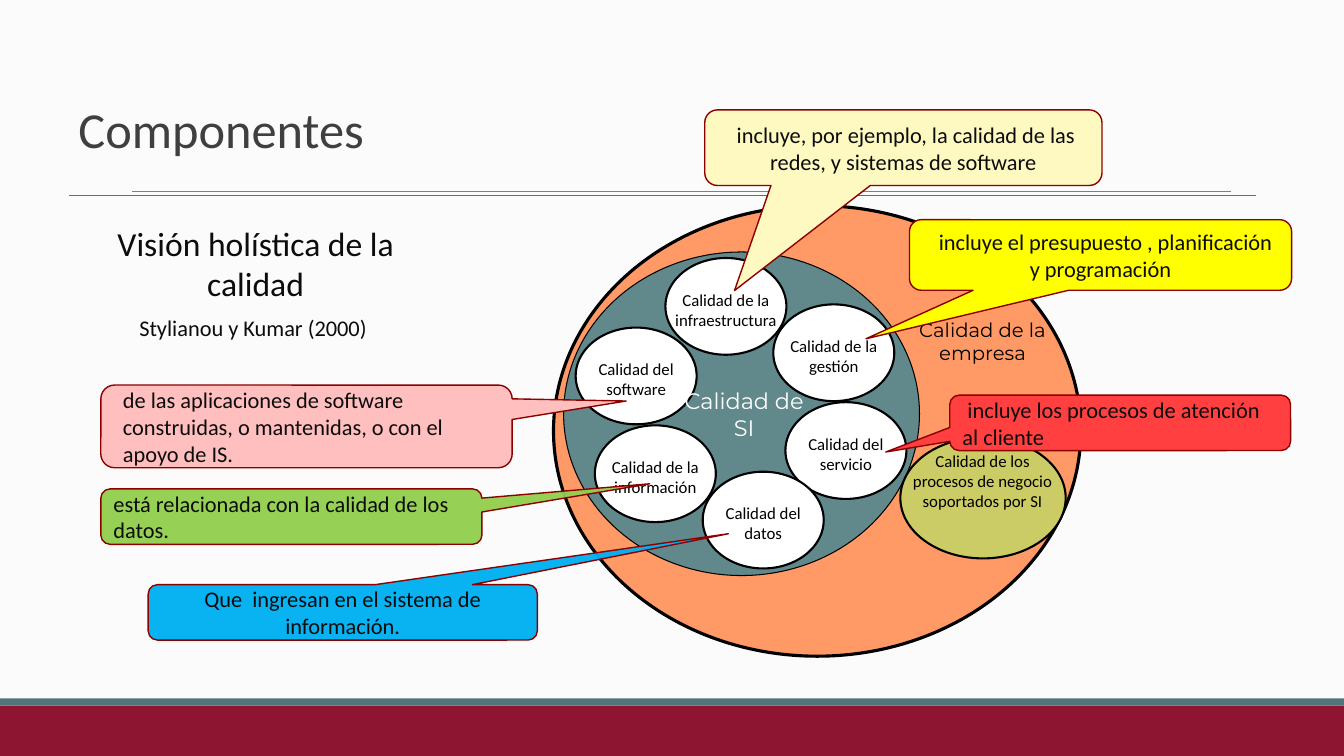
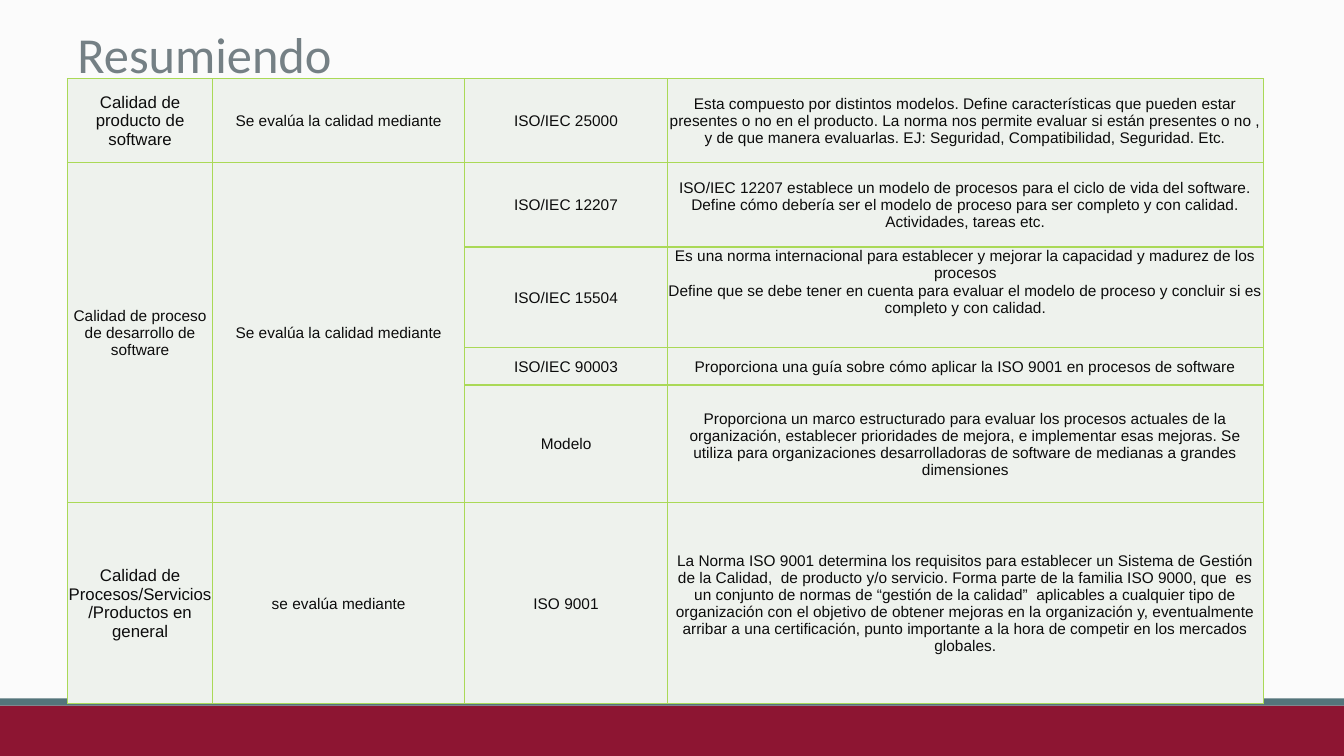
from dataclasses import dataclass
from typing import NamedTuple

from lxml.etree import SubElement
from pptx import Presentation
from pptx.dml.color import RGBColor
from pptx.enum.shapes import MSO_CONNECTOR as Connector, MSO_SHAPE as Preset
from pptx.enum.text import MSO_ANCHOR as Anchor, PP_ALIGN as Align
from pptx.oxml.ns import qn
from pptx.util import Inches, Pt

PAPER = RGBColor(0xFB, 0xFB, 0xFB)
CRIMSON = RGBColor(0x8D, 0x15, 0x32)
SLATE = RGBColor(0x54, 0x74, 0x7B)
GRAY = RGBColor(0x7F, 0x7F, 0x7F)
TITLE_DARK = RGBColor(0x3F, 0x3F, 0x3F)
TITLE_SOFT = RGBColor(0x75, 0x80, 0x85)
INK = RGBColor(0x0C, 0x0C, 0x0C)
BLACK = RGBColor(0, 0, 0)
WHITE = RGBColor(0xFF, 0xFF, 0xFF)
ORANGE = RGBColor(0xFF, 0x99, 0x66)
TEAL = RGBColor(0x61, 0x88, 0x8A)
OLIVE = RGBColor(0xCC, 0xCC, 0x66)
CREAM = RGBColor(0xFE, 0xF8, 0xC1)
PINK = RGBColor(0xFF, 0xBF, 0xBF)
BLUE = RGBColor(0x00, 0xB0, 0xF0)
GREEN = RGBColor(0x92, 0xD0, 0x50)
YELLOW = RGBColor(0xFF, 0xFF, 0x00)
RED = RGBColor(0xFF, 0x3F, 0x40)
MAROON = RGBColor(0x8C, 0x00, 0x00)
CELL = RGBColor(0xEE, 0xF2, 0xED)
CELL_BORDER = RGBColor(0xAA, 0xD9, 0x57)

BUBBLE_SIZE = (1.2, 0.96)
LABEL_DROP, LABEL_HEIGHT = 0.29, 0.44


class Box(NamedTuple):
    left: float
    top: float
    width: float
    height: float

    def lengths(self) -> list:
        return [Inches(side) for side in self]


class Style(NamedTuple):
    size: float
    color: RGBColor = INK
    font: str = "Calibri"
    align: Align = Align.CENTER


class Margins(NamedTuple):
    left: float = 0.1
    top: float = 0.05
    right: float = 0.1
    bottom: float = 0.05


TIGHT = Margins(0.05, 0.02, 0.05, 0.02)
CELL_MARGINS = Margins(0.01, 0.01, 0.01, 0)
LABEL = Style(12, BLACK)


@dataclass(frozen=True)
class Disc:
    box: Box
    color: RGBColor
    line_width: float


@dataclass(frozen=True)
class Bubble:
    left: float
    top: float
    label: str


@dataclass(frozen=True)
class Callout:
    box: Box
    tip: tuple[float, float]
    color: RGBColor
    text: str
    align: Align = Align.CENTER
    margins: Margins = Margins()
    opacity: int = 100


@dataclass(frozen=True)
class Entry:
    row: int
    column: int
    text: str
    size: float = 11
    rows: int = 1
    anchor: Anchor = Anchor.MIDDLE


DISCS = [
    Disc(Box(5.49, 2.04, 5.23, 4.47), ORANGE, 2.25),
    Disc(Box(5.59, 2.5, 3.53, 3.21), TEAL, 0.75),
    Disc(Box(8.93, 4.34, 1.64, 1.2), OLIVE, 1.5),
]

BUBBLES = [
    Bubble(6.6, 2.56, "Calidad de la infraestructura"),
    Bubble(7.67, 3.02, "Calidad de la gestión"),
    Bubble(7.79, 3.99, "Calidad del servicio"),
    Bubble(5.71, 3.25, "Calidad del software"),
    Bubble(5.9, 4.22, "Calidad de la información"),
    Bubble(6.97, 4.68, "Calidad del datos"),
]

CALLOUTS = [
    Callout(Box(6.99, 1.09, 3.94, 0.75), (-0.425, 1.89), CREAM,
            " incluye, por ejemplo, la calidad de las redes, y sistemas de software"),
    Callout(Box(1, 3.82, 4.08, 0.82), (0.777, -0.307), PINK,
            "de las aplicaciones de software\n"
            "construidas, o mantenidas, o con el apoyo de IS.",
            Align.LEFT, Margins(left=0.18)),
    Callout(Box(1.47, 5.8, 3.86, 0.55), (0.991, -1.419), BLUE,
            "Que  ingresan en el sistema de información.", opacity=96),
    Callout(Box(1, 4.85, 3.78, 0.55), (0.94, -0.592), GREEN,
            "está relacionada con la calidad de los datos.", Align.LEFT, opacity=96),
    Callout(Box(9.02, 2.18, 3.79, 0.7), (-0.614, 1.188), YELLOW,
            "  incluye el presupuesto , planificación y programación"),
    Callout(Box(9.42, 3.92, 3.38, 0.55), (-0.688, 0.526), RED,
            " incluye los procesos de atención al cliente", Align.LEFT),
]

COLUMNS = [1.44, 2.5, 2.01, 5.91]
ROWS = [0.83, 0.84, 1, 0.37, 1.17, 1.99]
ENTRIES = [
    Entry(0, 0, "Calidad de producto de software", 12),
    Entry(0, 1, "Se evalúa la calidad mediante"),
    Entry(0, 2, "ISO/IEC 25000"),
    Entry(0, 3, "Esta compuesto por distintos modelos. Define características que pueden "
                "estar presentes o no en el producto. La norma nos permite evaluar si están "
                "presentes o no , y de que manera evaluarlas. EJ: Seguridad, "
                "Compatibilidad, Seguridad. Etc."),
    Entry(1, 0, "Calidad de proceso de desarrollo de software", rows=4),
    Entry(1, 1, "Se evalúa la calidad mediante", rows=4),
    Entry(1, 2, "ISO/IEC 12207"),
    Entry(1, 3, "ISO/IEC 12207 establece un modelo de procesos para el ciclo de vida del "
                "software. Define cómo debería ser el modelo de proceso para ser completo "
                "y con calidad. Actividades, tareas etc."),
    Entry(2, 2, "ISO/IEC 15504"),
    Entry(2, 3, "Es una norma internacional para establecer y mejorar la capacidad y "
                "madurez de los procesos\nDefine que se debe tener en cuenta para evaluar "
                "el modelo de proceso y concluir si es completo y con calidad.",
          anchor=Anchor.TOP),
    Entry(3, 2, "ISO/IEC 90003"),
    Entry(3, 3, "Proporciona una guía sobre cómo aplicar la ISO 9001 en procesos de software"),
    Entry(4, 2, "Modelo"),
    Entry(4, 3, "Proporciona un marco estructurado para evaluar los procesos actuales de la "
                "organización, establecer prioridades de mejora, e implementar esas "
                "mejoras. Se utiliza para organizaciones desarrolladoras de software de "
                "medianas a grandes dimensiones"),
    Entry(5, 0, "Calidad de Procesos/Servicios/Productos en general", 12),
    Entry(5, 1, "se evalúa mediante"),
    Entry(5, 2, "ISO 9001"),
    Entry(5, 3, "La Norma ISO 9001 determina los requisitos para establecer un Sistema de "
                "Gestión de la Calidad,  de producto y/o servicio. Forma parte de la "
                "familia ISO 9000, que  es un conjunto de normas de “gestión de la "
                "calidad”  aplicables a cualquier tipo de organización con el objetivo de "
                "obtener mejoras en la organización y, eventualmente arribar a una "
                "certificación, punto importante a la hora de competir en los mercados "
                "globales."),
]


def set_margins(holder, margins: Margins) -> None:
    for side, length in margins._asdict().items():
        setattr(holder, f"margin_{side}", Inches(length))


def write_paragraph(paragraph, text: str, style: Style) -> None:
    paragraph.alignment = style.align
    run = paragraph.add_run()
    run.text = text
    run.font.size = Pt(style.size)
    run.font.name = style.font
    run.font.color.rgb = style.color


def write(frame, text: str, style: Style) -> None:
    for index, line in enumerate(text.split("\n")):
        paragraph = frame.add_paragraph() if index else frame.paragraphs[0]
        write_paragraph(paragraph, line, style)


def add_text(slide, box: Box, text: str, style: Style,
             margins: Margins = Margins(), anchor: Anchor = Anchor.TOP):
    frame = slide.shapes.add_textbox(*box.lengths()).text_frame
    frame.word_wrap = True
    frame.vertical_anchor = anchor
    set_margins(frame, margins)
    write(frame, text, style)
    return frame


def add_figure(slide, preset: Preset, box: Box, fill: RGBColor,
               line: RGBColor | None = None, line_width: float = 1):
    figure = slide.shapes.add_shape(preset, *box.lengths())
    figure.shadow.inherit = False
    figure.fill.solid()
    figure.fill.fore_color.rgb = fill
    if line is None:
        figure.line.fill.background()
    else:
        figure.line.color.rgb = line
        figure.line.width = Pt(line_width)
    return figure


def add_rule(slide, left: float, right: float, top: float,
             color: RGBColor, width: float) -> None:
    rule = slide.shapes.add_connector(
        Connector.STRAIGHT, Inches(left), Inches(top), Inches(right), Inches(top))
    rule.line.color.rgb = color
    rule.line.width = Pt(width)
    SubElement(rule._element.spPr, qn("a:effectLst"))


def add_callout(slide, callout: Callout) -> None:
    figure = add_figure(slide, Preset.ROUNDED_RECTANGULAR_CALLOUT, callout.box,
                        callout.color, MAROON)
    for index, value in enumerate((*callout.tip, 0.167)):
        figure.adjustments[index] = value
    if callout.opacity < 100:
        color = figure._element.spPr.find(qn("a:solidFill")).find(qn("a:srgbClr"))
        SubElement(color, qn("a:alpha"), val=str(callout.opacity * 1000))
    frame = figure.text_frame
    frame.word_wrap = True
    frame.vertical_anchor = Anchor.MIDDLE
    set_margins(frame, callout.margins)
    write(frame, callout.text, Style(16, align=callout.align))


def add_borders(cell) -> None:
    properties = cell._tc.get_or_add_tcPr()
    for side in ("lnL", "lnR", "lnT", "lnB"):
        border = SubElement(properties, qn(f"a:{side}"), w=str(Pt(1)))
        fill = SubElement(border, qn("a:solidFill"))
        SubElement(fill, qn("a:srgbClr"), val=str(CELL_BORDER))


def new_slide(deck):
    slide = deck.slides.add_slide(deck.slide_layouts[6])
    add_figure(slide, Preset.RECTANGLE, Box(0, 7, 13.33, 0.5), CRIMSON)
    add_figure(slide, Preset.RECTANGLE, Box(0, 6.93, 13.33, 0.07), SLATE)
    return slide


def add_title(slide, box: Box, text: str, color: RGBColor, anchor: Anchor):
    return add_text(slide, box, text, Style(36, color, align=Align.LEFT), anchor=anchor)


def build_components(deck) -> None:
    slide = new_slide(deck)
    add_rule(slide, 1.31, 12.21, 1.9, GRAY, 0.75)
    add_rule(slide, 0.68, 12.46, 1.94, SLATE, 1)
    title = add_title(slide, Box(0.68, 0.7, 11.78, 1.24), "Componentes",
                      TITLE_DARK, Anchor.MIDDLE)
    title.paragraphs[0].line_spacing = 0.85
    heading = add_text(slide, Box(0.84, 2.16, 3.39, 1.31),
                       "Visión holística de la calidad", Style(24))
    authors = heading.add_paragraph()
    authors.space_before = Pt(8)
    write_paragraph(authors, "Stylianou y Kumar (2000) ", Style(16))

    for disc in DISCS:
        add_figure(slide, Preset.OVAL, disc.box, disc.color, BLACK, disc.line_width)
    add_text(slide, Box(8.99, 4.45, 1.51, 0.89),
             "Calidad de los procesos de negocio soportados por SI", LABEL, TIGHT)
    for bubble in BUBBLES:
        add_figure(slide, Preset.OVAL, Box(bubble.left, bubble.top, *BUBBLE_SIZE),
                   WHITE, BLACK, 1.5)
    for bubble in BUBBLES:
        add_text(slide, Box(bubble.left, bubble.top + LABEL_DROP, BUBBLE_SIZE[0],
                            LABEL_HEIGHT), bubble.label, LABEL, TIGHT)
    add_text(slide, Box(9.05, 3.13, 1.39, 0.89), "Calidad de la empresa",
             Style(14, BLACK, "Montserrat"), TIGHT)
    add_text(slide, Box(6.72, 3.82, 1.32, 0.53), "Calidad de SI",
             Style(16, WHITE, "Montserrat"), TIGHT)
    for callout in CALLOUTS:
        add_callout(slide, callout)


def build_summary(deck) -> None:
    slide = new_slide(deck)
    box = Box(0.67, 0.78, sum(COLUMNS), sum(ROWS))
    table = slide.shapes.add_table(len(ROWS), len(COLUMNS), *box.lengths()).table
    table.first_row = table.horz_banding = False
    for column, width in zip(table.columns, COLUMNS):
        column.width = Inches(width)
    for row, height in zip(table.rows, ROWS):
        row.height = Inches(height)
    for cell in table.iter_cells():
        add_borders(cell)
        cell.fill.solid()
        cell.fill.fore_color.rgb = CELL
        set_margins(cell, CELL_MARGINS)
    for entry in ENTRIES:
        cell = table.cell(entry.row, entry.column)
        if entry.rows > 1:
            cell.merge(table.cell(entry.row + entry.rows - 1, entry.column))
        cell.vertical_anchor = entry.anchor
        write(cell.text_frame, entry.text, Style(entry.size, font="Arial"))
    add_title(slide, Box(0.67, 0.18, 3.21, 0.71), "Resumiendo", TITLE_SOFT, Anchor.TOP)


def main() -> None:
    deck = Presentation()
    deck.slide_width, deck.slide_height = Inches(13.33), Inches(7.5)
    backdrop = deck.slide_master.background.fill
    backdrop.solid()
    backdrop.fore_color.rgb = PAPER
    build_components(deck)
    build_summary(deck)
    deck.save("out.pptx")


if __name__ == "__main__":
    main()
